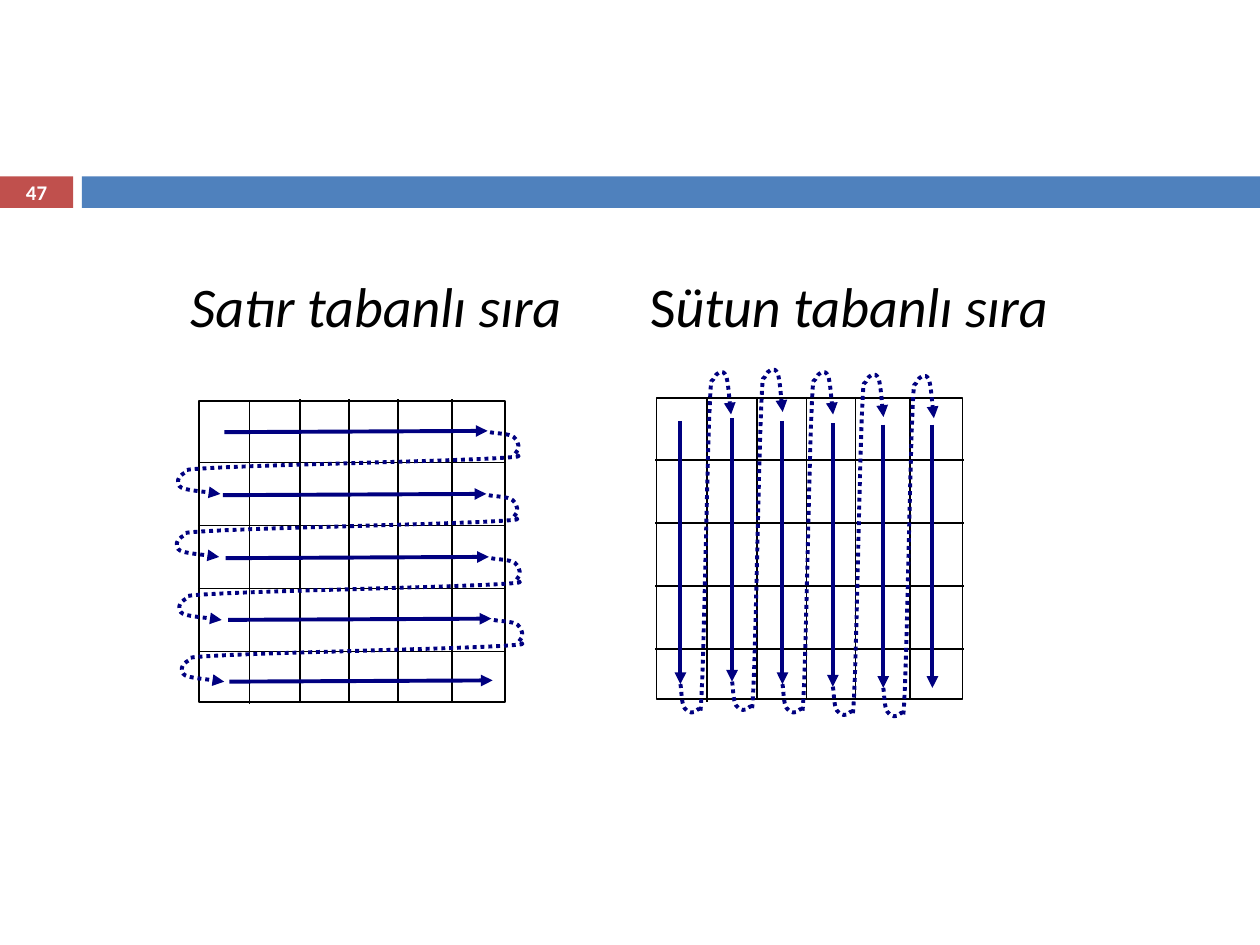
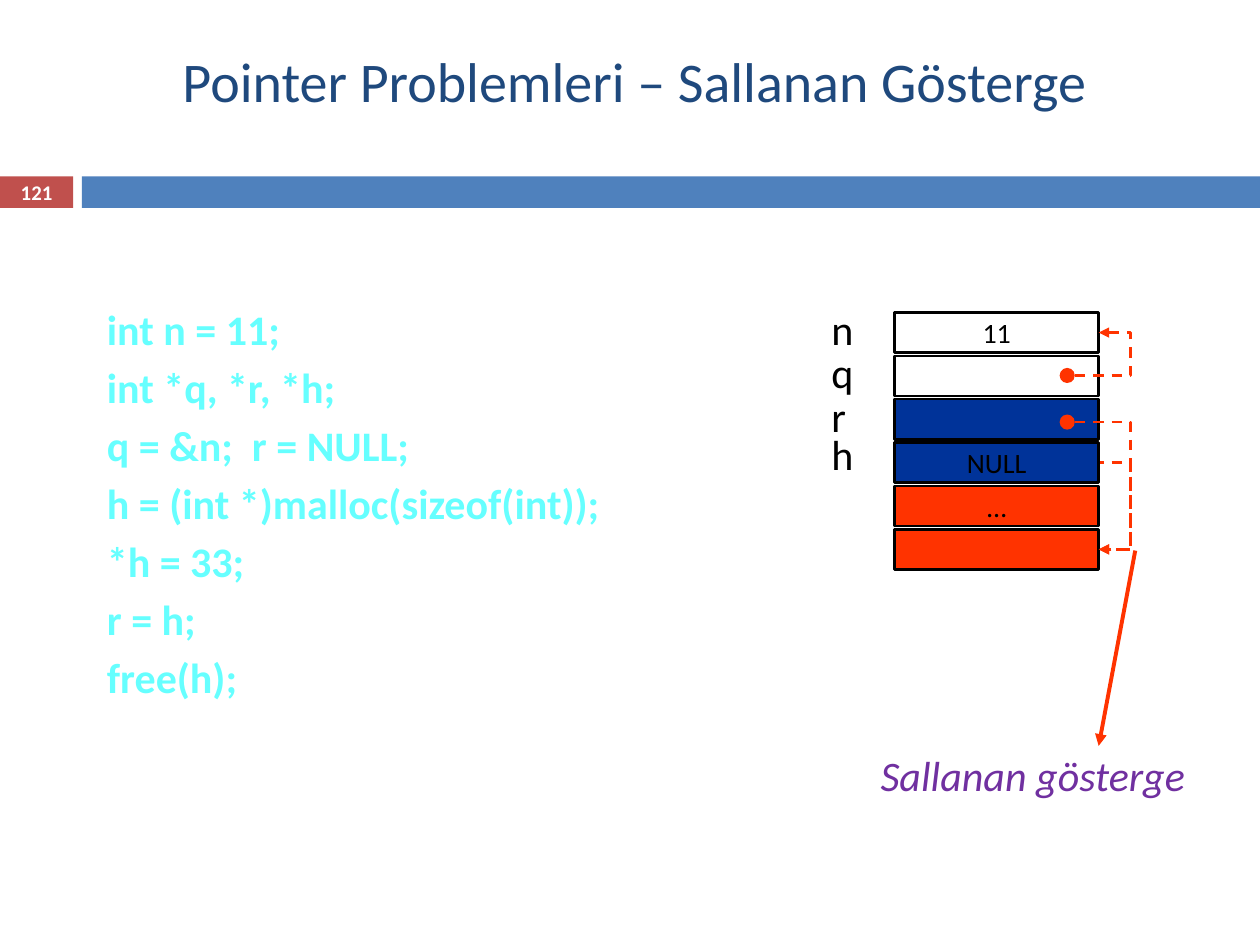
import pptx
import pptx.util
import pptx.dml.color
import pptx.enum.dml
import pptx.enum.shapes
import pptx.enum.text
import pptx.oxml
import pptx.oxml.ns
from dataclasses import dataclass

SHAPE = pptx.enum.shapes.MSO_SHAPE
JOIN = pptx.enum.shapes.MSO_CONNECTOR
ALIGN = pptx.enum.text.PP_ALIGN
MID = pptx.enum.text.MSO_ANCHOR.MIDDLE
DASH = pptx.enum.dml.MSO_LINE
qn = pptx.oxml.ns.qn


@dataclass(frozen=True)
class Theme:
    font: str = "Calibri"
    black: str = "000000"
    white: str = "FFFFFF"
    red: str = "C0504D"
    blue: str = "4F81BD"
    title: str = "1F497D"
    navy: str = "000080"
    code: str = "66FFFF"
    heap: str = "FF3300"
    held: str = "003399"
    note: str = "7030A0"
    big: float = 32
    body: float = 24
    small: float = 16
    tiny: float = 11.9
    thin: float = 1
    edge: float = 1.5
    bold: float = 2.25


class Deck:
    """Slides on a grid of 100 columns by 75 rows."""

    def __init__(self, theme):
        self.theme = theme
        self.file = pptx.Presentation()
        self.file.slide_width = pptx.util.Inches(10)
        self.file.slide_height = pptx.util.Inches(7.5)
        self.unit = self.file.slide_width / 100
        self.slide = None

    def emu(self, *cells):
        return [round(cell * self.unit) for cell in cells]

    def page(self, number):
        theme = self.theme
        self.slide = self.file.slides.add_slide(self.file.slide_layouts[6])
        self.box(0, 14, 5.8, 2.5, fill=theme.red)
        self.box(6.5, 14, 93.5, 2.5, fill=theme.blue)
        self.text(0, 13.9, 5.8, 2.7, number, theme.tiny, theme.white,
                  bold=True, align=ALIGN.CENTER, anchor=MID)

    # Text
    def style(self, run, size, color, bold=False, italic=False):
        font = run.font
        font.name, font.size = self.theme.font, pptx.util.Pt(size)
        font.bold, font.italic = bold, italic
        font.color.rgb = pptx.dml.color.RGBColor.from_string(color)

    def fill_text(self, frame, words, size, color, bold=False, italic=False,
                  align=ALIGN.LEFT, gap=0):
        frame.word_wrap = True
        frame.text = words
        for i, para in enumerate(frame.paragraphs):
            para.alignment = align
            if i and gap:
                para.space_before = pptx.util.Pt(gap)
            for run in para.runs:
                self.style(run, size, color, bold, italic)

    def text(self, x, y, w, h, words, size, color, anchor=None, **looks):
        frame = self.slide.shapes.add_textbox(*self.emu(x, y, w, h)).text_frame
        self.fill_text(frame, words, size, color, **looks)
        if anchor is not None:
            frame.vertical_anchor = anchor
        return frame

    # Shapes and lines
    def box(self, x, y, w, h, fill=None, edge=None, width=1, words="",
            kind=SHAPE.RECTANGLE):
        shape = self.slide.shapes.add_shape(kind, *self.emu(x, y, w, h))
        shape.shadow.inherit = False
        if fill:
            shape.fill.solid()
            shape.fill.fore_color.rgb = pptx.dml.color.RGBColor.from_string(fill)
        else:
            shape.fill.background()
        if edge:
            self.stroke(shape.line, edge, width)
        else:
            shape.line.fill.background()
        if words:
            frame = shape.text_frame
            frame.margin_top = frame.margin_bottom = pptx.util.Inches(0.03)
            frame.vertical_anchor = MID
            self.fill_text(frame, words, self.theme.small, self.theme.black,
                           align=ALIGN.CENTER)

    def stroke(self, line, color, width, dash=None, arrow=False):
        line.color.rgb = pptx.dml.color.RGBColor.from_string(color)
        line.width = pptx.util.Pt(width)
        if dash:
            line.dash_style = dash
        if arrow:
            head = pptx.oxml.parse_xml(
                f'<a:tailEnd {pptx.oxml.ns.nsdecls("a")} type="triangle"/>')
            line._get_or_add_ln().append(head)

    def line(self, x1, y1, x2, y2, color, width, dash=None, arrow=False,
             bend=None):
        kind = JOIN.ELBOW if bend else JOIN.STRAIGHT
        link = self.slide.shapes.add_connector(kind, *self.emu(x1, y1, x2, y2))
        self.stroke(link.line, color, width, dash, arrow)
        props = link._element.spPr
        props.append(props.makeelement(qn("a:effectLst"), {}))
        if bend:
            values = props.find(qn("a:prstGeom")).get_or_add_avLst()
            values.append(values.makeelement(
                qn("a:gd"), {"name": "adj1", "fmla": f"val {bend}"}))

    def curve(self, x, y, steps, color, width):
        points = [tuple(self.emu(x + dx, y + dy)) for dx, dy in steps]
        pen = self.slide.shapes.build_freeform(*self.emu(x, y))
        shape = pen.add_line_segments(points, close=False).convert_to_shape()
        shape.shadow.inherit = False
        shape.fill.background()
        self.stroke(shape.line, color, width, DASH.ROUND_DOT, True)
        # Join each three straight steps into one Bezier piece
        route = next(shape._element.iter(qn("a:path")))
        legs = route.findall(qn("a:lnTo"))
        for i in range(0, len(legs), 3):
            piece = route.makeelement(qn("a:cubicBezTo"), {})
            for leg in legs[i:i + 3]:
                piece.append(leg[0])
                route.remove(leg)
            route.append(piece)


# Return sweep from the end of one row to the start of the next
SWEEP = [(0.3, 0.1), (1.6, 0.1), (1.9, 0.4), (2.3, 0.7), (2.4, 1.4), (2, 1.7),
         (1.7, 1.9), (3.7, 1.9), (-0.1, 2.1), (-4, 2.3), (-17.3, 2.6),
         (-21.3, 2.8), (-25.3, 3), (-23.7, 3), (-24.2, 3.2), (-24.8, 3.5),
         (-25, 4.1), (-24.5, 4.4), (-24.1, 4.6), (-22, 4.8), (-21.4, 4.9)]
SWEEP_DOWN = [(0.82 * dy, dx) for dx, dy in SWEEP]
ROWS = [(17.8, 34.3), (17.7, 39.3), (17.9, 44.3), (18.1, 49.2), (18.2, 54.1)]
COLS = [(54, 33.4), (58.1, 33.2), (62.1, 33.4), (66.1, 33.6), (70.1, 33.7),
        (74, 33.7)]


def draw_grid(deck, x, y):
    ink, width = deck.theme.black, deck.theme.thin
    deck.box(x, y, 24.3, 23.9, edge=ink, width=width)
    for i in range(4):
        level = y + 4.9 + 5 * i
        deck.line(x - 0.1, level, x + 24.4, level, ink, width)
    for i, dx in enumerate((4, 8, 11.9, 15.8, 20.1)):
        drop = 0.1 if i == 0 else -0.1
        deck.line(x + dx, y + drop, x + dx, y + 24 + drop, ink, width)


def draw_order(deck):
    theme = deck.theme
    deck.page("47")

    # Headings of both grids, parted by a tab stop
    frame = deck.text(14.1, 21.1, 75.8, 6.4, "Satır tabanlı sıra", theme.big,
                      theme.black, italic=True)
    para = frame.paragraphs[0]
    stop = pptx.util.Inches(3.65)
    para._p.get_or_add_pPr().append(pptx.oxml.parse_xml(
        f'<a:tabLst {pptx.oxml.ns.nsdecls("a")}>'
        f'<a:tab pos="{stop}" algn="l"/></a:tabLst>'))
    for words, italic in (("\tS", False), ("ütun tabanlı sıra", True)):
        run = para.add_run()
        run.text = words
        deck.style(run, theme.big, theme.black, italic=italic)

    draw_grid(deck, 15.8, 31.8)
    draw_grid(deck, 52.1, 31.6)

    # Row order, then column order
    for i, (x, y) in enumerate(ROWS):
        deck.line(x, y, x + 20.9, y - 0.1, theme.navy, theme.bold, arrow=True)
        if i < len(ROWS) - 1:
            deck.curve(x + 21.1, y, SWEEP, theme.navy, theme.bold)
    for i, (x, y) in enumerate(COLS):
        deck.line(x, y, x, y + 20.9, theme.navy, theme.bold, arrow=True)
        if i < len(COLS) - 1:
            deck.curve(x, y + 20.9, SWEEP_DOWN, theme.navy, theme.bold)


CODE = """int n = 11;
int *q, *r, *h;
q = &n;  r = NULL;
h = (int *)malloc(sizeof(int));
*h = 33;
r = h;
free(h);"""


def draw_dangling(deck):
    theme = deck.theme
    deck.page("121")
    deck.text(13.5, 1.7, 84, 9.3, "Pointer Problemleri – Sallanan Gösterge",
              theme.big, theme.title, anchor=MID)
    deck.text(7.5, 23.6, 43.8, 41.2, CODE, theme.body, theme.code, bold=True,
              gap=4.3)

    def link(start, end):
        deck.line(85.3, start, 87.2, end, theme.heap, theme.edge, DASH.DASH,
                  True, bend=233300)

    # Memory cells; the link of h runs behind its cell
    link(36.7, 43.6)
    cells = [("11", None), ("", None), ("", theme.held), ("NULL", theme.held),
             ("…", theme.heap), ("", theme.heap)]
    for i, (words, fill) in enumerate(cells):
        deck.box(71, 24.8 + 3.44 * i, 16.2, 3.2, fill, theme.black, theme.edge,
                 words)
    for name, y in zip("nqrh", (23.6, 27, 30.5, 33.5)):
        deck.text(65, y, 3.9, 5, name, theme.body, theme.black)

    # Pointers q and r
    for start, end in ((29.8, 26.4), (33.5, 43.6)):
        deck.box(84.1, start - 0.6, 1.2, 1.2, theme.heap, kind=SHAPE.OVAL)
        link(start, end)

    # Callout
    deck.line(90.1, 43.7, 87.2, 59.2, theme.heap, theme.bold, arrow=True)
    deck.text(68.9, 59, 28.7, 5, "Sallanan gösterge", theme.body, theme.note,
              italic=True)


def main():
    deck = Deck(Theme())
    draw_order(deck)
    draw_dangling(deck)
    deck.file.save("out.pptx")


if __name__ == "__main__":
    main()
